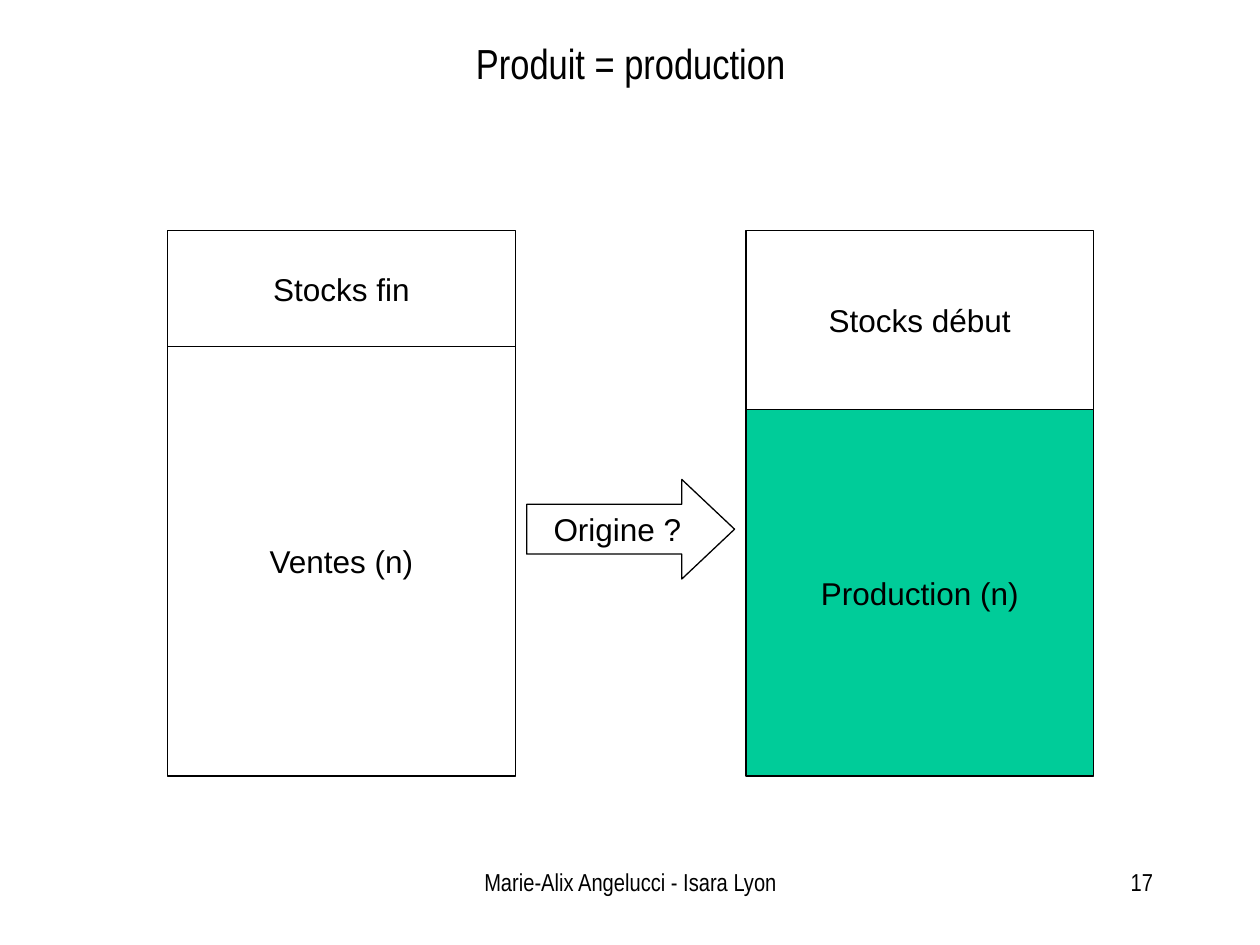
from pptx import Presentation
from pptx.dml.color import RGBColor
from pptx.enum.shapes import MSO_SHAPE
from pptx.enum.text import MSO_ANCHOR, PP_ALIGN
from pptx.util import Inches, Pt

BLACK, WHITE, GREEN = "000000", "FFFFFF", "00CC99"
COLUMN_TOP, COLUMN_WIDTH, COLUMN_HEIGHT = 1.83, 2.76, 4.33
COLUMNS = [
    (1.33, [("Stocks fin", 0.92, None), ("Ventes (n)", 3.41, None)]),
    (5.92, [("Stocks début", 1.42, None), ("Production (n)", 2.91, GREEN)]),
]
ARROW_WIDTH, ARROW_HEIGHT = 1.65, 0.79
ARROW_MIDDLE = 4.2
TITLE = ("Produit = production", (0.17, 0.23, 9.67, 0.53))
FOOTERS = [
    ("Marie-Alix Angelucci - Isara Lyon", 3.42, 3.17, PP_ALIGN.CENTER),
    ("17", 7.17, 2.08, PP_ALIGN.RIGHT),
]
FOOTER_TOP, FOOTER_HEIGHT = 6.83, 0.5


def color(value):
    return RGBColor.from_string(value)


def write(shape, text, size=18, font="Arial", align=PP_ALIGN.CENTER,
          anchor=MSO_ANCHOR.MIDDLE, wrap=False):
    frame = shape.text_frame
    frame.word_wrap = wrap
    frame.vertical_anchor = anchor
    paragraph = frame.paragraphs[0]
    paragraph.text = text
    paragraph.alignment = align
    for name, value in {"size": Pt(size), "name": font}.items():
        setattr(paragraph.font, name, value)
    paragraph.font.color.rgb = color(BLACK)


def add_block(slide, kind, box, fill=None, line=BLACK, line_width=0.75):
    shape = slide.shapes.add_shape(kind, *map(Inches, box))
    shape.shadow.inherit = False
    if fill:
        shape.fill.solid()
        shape.fill.fore_color.rgb = color(fill)
    else:
        shape.fill.background()
    shape.line.color.rgb = color(line)
    shape.line.width = Pt(line_width)
    return shape


def main():
    presentation = Presentation()
    presentation.slide_width, presentation.slide_height = Inches(10), Inches(7.5)
    slide = presentation.slides.add_slide(presentation.slide_layouts[6])

    title_text, title_box = TITLE
    title = add_block(slide, MSO_SHAPE.RECTANGLE, title_box, None, WHITE, 2.25)
    write(title, title_text, 24, "Arial Narrow", wrap=True)

    for left, parts in COLUMNS:
        top = COLUMN_TOP
        for text, height, fill in parts:
            box = (left, top, COLUMN_WIDTH, height)
            write(add_block(slide, MSO_SHAPE.RECTANGLE, box, fill), text)
            top += height

    gap_start, gap_end = COLUMNS[0][0] + COLUMN_WIDTH, COLUMNS[1][0]
    arrow_left = (gap_start + gap_end - ARROW_WIDTH) / 2
    arrow_box = (arrow_left, ARROW_MIDDLE - ARROW_HEIGHT / 2, ARROW_WIDTH, ARROW_HEIGHT)
    arrow = add_block(slide, MSO_SHAPE.RIGHT_ARROW, arrow_box)
    arrow.adjustments[0], arrow.adjustments[1] = 0.5, 0.53
    write(arrow, "Origine ?")

    for text, left, width, align in FOOTERS:
        box = (left, FOOTER_TOP, width, FOOTER_HEIGHT)
        footer = slide.shapes.add_textbox(*map(Inches, box))
        write(footer, text, 14, "Arial Narrow", align, MSO_ANCHOR.TOP, True)

    presentation.save("out.pptx")


if __name__ == "__main__":
    main()
